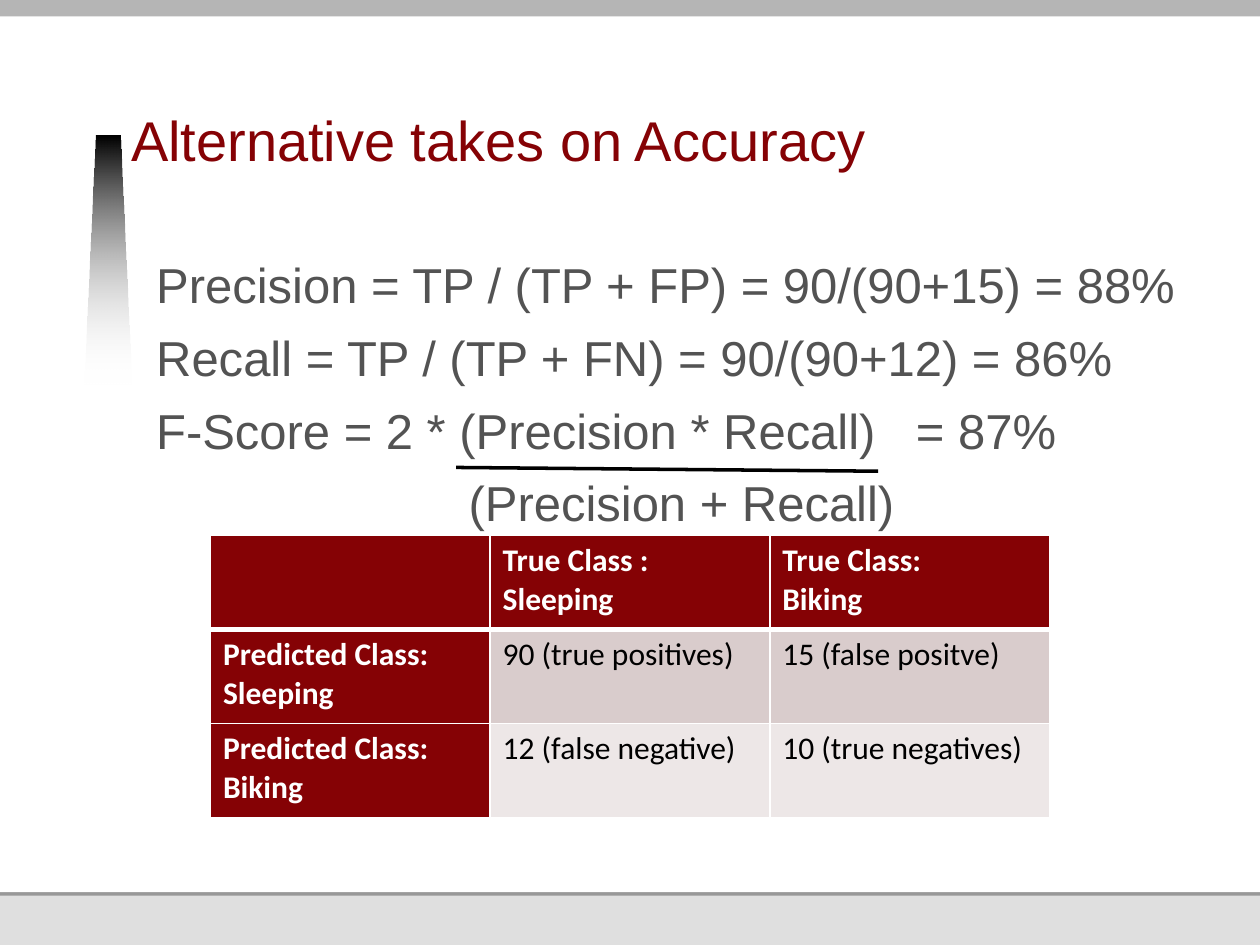
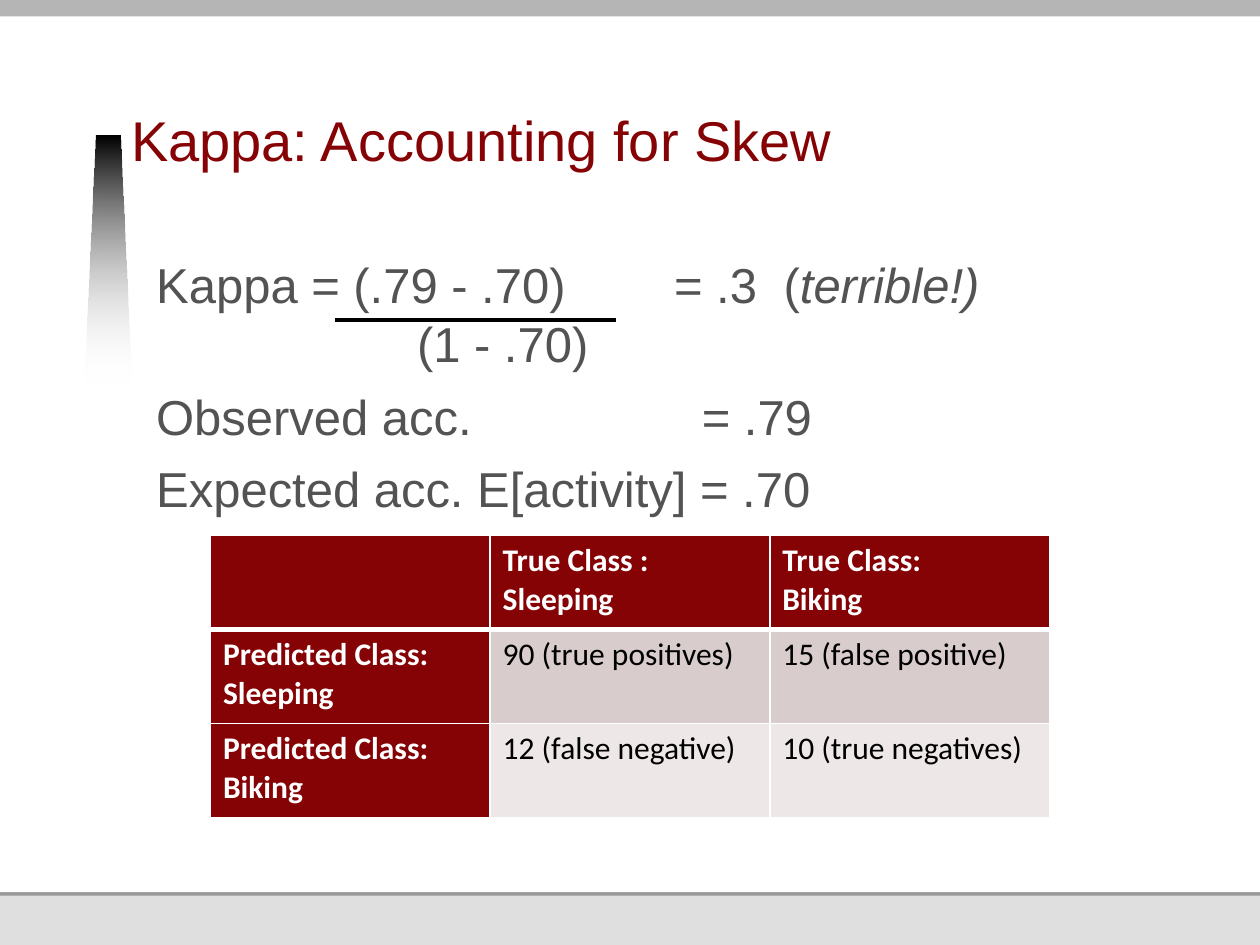
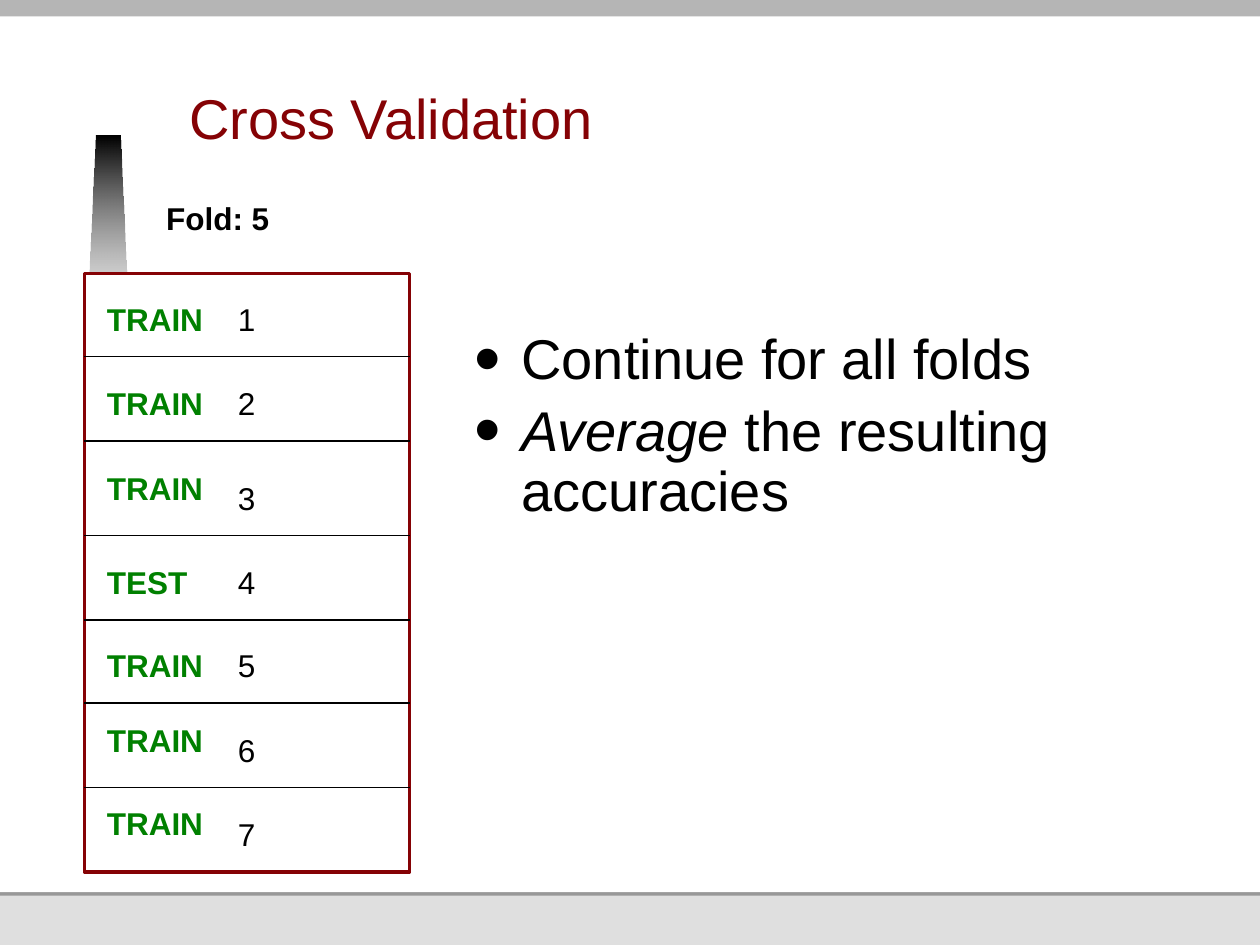
from lxml import etree
from pptx import Presentation
from pptx.dml.color import RGBColor
from pptx.enum.shapes import MSO_CONNECTOR, MSO_SHAPE
from pptx.enum.text import MSO_ANCHOR, PP_ALIGN
from pptx.oxml.ns import qn
from pptx.util import Inches, Pt

RECTANGLE = MSO_SHAPE.RECTANGLE
STRAIGHT = MSO_CONNECTOR.STRAIGHT
BOTTOM = MSO_ANCHOR.BOTTOM
LEFT = PP_ALIGN.LEFT

FONT = "Arial"
TABLE_FONT = "Calibri"
COLORS = {
    "maroon": "850205",
    "body": "535353",
    "black": "000000",
    "white": "FFFFFF",
    "green": "008000",
    "top_band": "B5B5B5",
    "rule": "989898",
    "footer": "DFDFDF",
    "row_dark": "D9CCCC",
    "row_light": "EDE7E7",
}
BANDS = [
    (0, 0, 10, 7.5, "footer"),
    (0, 1.78, 10, 5.33, "rule"),
    (0, 0, 10, 7.08, "white"),
    (0, 0, 7.9, 0.11, "rule"),
    (0, -0.04, 10.17, 0.17, "top_band"),
]
FOLDS = [
    ("TRAIN", 2.17, 2.33, 2.33),
    ("TRAIN", 2.83, 3, 3),
    ("TRAIN", 3.5, 3.67, 3.75),
    ("TEST", 4.25, 4.42, 4.42),
    ("TRAIN", 4.92, 5.08, 5.08),
    ("TRAIN", 5.58, 5.67, 5.75),
    ("TRAIN", 6.25, 6.33, 6.42),
]


def rgb(name):
    """Return the named palette colour."""
    return RGBColor.from_string(COLORS[name])


def style(p, size, color, bold=False, font=FONT):
    """Format every run of a paragraph."""
    for r in p.runs:
        r.font.size = Pt(size)
        r.font.name = font
        r.font.bold = bold
        r.font.color.rgb = rgb(color)


def add_rect(s, left, top, width, height, fill, line=None):
    """Add a flat rectangle, outlined if a line colour is given."""
    sp = s.shapes.add_shape(RECTANGLE, Inches(left), Inches(top), Inches(width), Inches(height))
    sp.shadow.inherit = False
    sp.fill.solid()
    sp.fill.fore_color.rgb = rgb(fill)
    if line:
        sp.line.color.rgb = rgb(line)
        sp.line.width = Pt(2)
    else:
        sp.line.fill.background()


def add_line(s, x1, y1, x2, y2, width):
    """Add a straight black line."""
    line = s.shapes.add_connector(STRAIGHT, Inches(x1), Inches(y1), Inches(x2), Inches(y2))
    line.line.color.rgb = rgb("black")
    line.line.width = Pt(width)
    etree.SubElement(line._element.spPr, qn("a:effectLst"))


def add_wedge(s):
    """Add the wedge beside the title, fading to transparent."""
    points = [(0.76, 1.08), (0.95, 1.08), (1.04, 3.05)]
    builder = s.shapes.build_freeform(Inches(0.67), Inches(3.05))
    builder.add_line_segments([(Inches(x), Inches(y)) for x, y in points])
    sp = builder.convert_to_shape()
    sp.shadow.inherit = False
    sp.line.fill.background()
    sp.fill.gradient()
    sp.fill.gradient_angle = 270
    for stop, color in zip(sp.fill.gradient_stops, ("black", "white")):
        stop.color.rgb = rgb(color)
    last_color = sp._element.spPr.findall(".//" + qn("a:srgbClr"))[-1]
    etree.SubElement(last_color, qn("a:alpha"), val="0")


def add_slide(prs, title, left=1.04, top=0.34, width=6.87, height=1.08):
    """Add a slide with the shared bands, wedge and title style."""
    s = prs.slides.add_slide(prs.slide_layouts[5])
    for band in BANDS:
        add_rect(s, *band)
    add_wedge(s)
    sp = s.shapes.title
    s.shapes.element.append(sp._element)
    sp.left, sp.top = Inches(left), Inches(top)
    sp.width, sp.height = Inches(width), Inches(height)
    tf = sp.text_frame
    tf.text = title
    tf.vertical_anchor = BOTTOM
    tf.margin_left = tf.margin_right = tf.margin_top = 0
    tf.margin_bottom = Inches(0.05)
    p = tf.paragraphs[0]
    p.alignment = LEFT
    p.line_spacing = Pt(34)
    style(p, 32, "maroon")
    return s


def add_text_box(s, left, top, width, height):
    """Add a wrapping text box and return its text frame."""
    tf = s.shapes.add_textbox(Inches(left), Inches(top), Inches(width), Inches(height)).text_frame
    tf.word_wrap = True
    return tf


def add_label(s, text, left, top, width, color="black", bold=True):
    """Add a one-line label."""
    tf = add_text_box(s, left, top, width, 0.4)
    tf.word_wrap = False
    tf.text = text
    style(tf.paragraphs[0], 18, color, bold)


def add_runs(p, parts):
    """Fill a paragraph from (text, italic) parts."""
    for text, italic in parts:
        r = p.add_run()
        r.text = text
        r.font.italic = italic


def add_tabs(p, stops):
    """Set left tab stops, in inches, on a paragraph."""
    tabs = etree.SubElement(p._p.get_or_add_pPr(), qn("a:tabLst"))
    for stop in stops:
        etree.SubElement(tabs, qn("a:tab"), pos=str(Inches(stop)), algn="l")


def add_formulas(s, formulas):
    """Add formula lines, each a (text, tab stops) pair."""
    tf = add_text_box(s, 1.24, 2.02, 8.76, 4.79)
    tf.margin_left = tf.margin_right = tf.margin_top = 0
    for i, (text, stops) in enumerate(formulas):
        p = tf.paragraphs[0] if i == 0 else tf.add_paragraph()
        p.line_spacing = Pt(33.6)
        p.space_after = Pt(8)
        add_tabs(p, stops)
        p.text = text
        style(p, 28, "body")
    return tf


def add_bullets(s, items):
    """Add the bulleted list, each item made of (text, italic) parts."""
    tf = add_text_box(s, 3.67, 2.58, 6.33, 4)
    for i, parts in enumerate(items):
        p = tf.paragraphs[0] if i == 0 else tf.add_paragraph()
        p.line_spacing = 0.9
        p.space_before = Pt(6.4 if i else 0)
        pPr = p._p.get_or_add_pPr()
        pPr.set("marL", str(Inches(0.37)))
        pPr.set("indent", str(Inches(-0.37)))
        etree.SubElement(pPr, qn("a:buSzPct"), val="135000")
        etree.SubElement(pPr, qn("a:buFont"), typeface=FONT)
        etree.SubElement(pPr, qn("a:buChar"), char="•")
        add_runs(p, parts)
        style(p, 32, "black")


def add_border(cell, side, width):
    """Draw a white border on one side of a table cell."""
    line = etree.Element(qn(f"a:{side}"), w=str(Pt(width)))
    fill = etree.SubElement(line, qn("a:solidFill"))
    etree.SubElement(fill, qn("a:srgbClr"), val=COLORS["white"])
    cell._tc.get_or_add_tcPr().insert(0, line)


def add_confusion_table(s, false_positive):
    """Add the confusion matrix."""
    rows = [
        ("", "True Class : Sleeping", "True Class:\vBiking"),
        ("Predicted Class: Sleeping", "90 (true positives)", false_positive),
        ("Predicted Class: Biking", "12 (false negative)", "10 (true negatives)"),
    ]
    fills = ["maroon", "row_dark", "row_light"]
    table = s.shapes.add_table(3, 3, Inches(1.67), Inches(4.25), Inches(6.66), Inches(2.24)).table
    for i, row in enumerate(rows):
        for j, text in enumerate(row):
            heading = i == 0 or j == 0
            cell = table.cell(i, j)
            cell.fill.solid()
            cell.fill.fore_color.rgb = rgb("maroon" if heading else fills[i])
            add_border(cell, "lnB", 1 if i else 3)
            add_border(cell, "lnT", 3 if i == 1 else 1)
            add_border(cell, "lnR", 1)
            add_border(cell, "lnL", 1)
            cell.text = text
            style(cell.text_frame.paragraphs[0], 18, "white" if heading else "black", heading, TABLE_FONT)


def build_accuracy(prs):
    """Build the precision, recall and F-score slide."""
    s = add_slide(prs, "Alternative takes on Accuracy")
    add_formulas(s, [
        ("Precision = TP / (TP + FP) = 90/(90+15) = 88%", []),
        ("Recall = TP / (TP + FN) = 90/(90+12) = 86%", []),
        ("F-Score = 2 * (Precision * Recall)\t= 87%", [6.03]),
        ("\t(Precision + Recall)", [2.48]),
    ])
    add_confusion_table(s, "15 (false positve)")
    add_line(s, 3.62, 3.71, 6.97, 3.74, 2)


def build_kappa(prs):
    """Build the kappa slide."""
    s = add_slide(prs, "Kappa: Accounting for Skew")
    tf = add_formulas(s, [
        ("Kappa = (.79 - .70)\t= .3\t(", [2.07, 4.11, 4.98]),
        ("Observed acc.\t= .79", [4.33]),
        ("Expected acc. E[activity] = .70", []),
    ])
    p = tf.paragraphs[0]
    add_runs(p, [("terrible!)", True)])
    p.add_line_break()
    add_runs(p, [("\t(1 - .70)", False)])
    style(p, 28, "body")
    add_line(s, 2.66, 2.54, 4.89, 2.54, 2)
    add_confusion_table(s, "15 (false positive)")


def build_cross_validation(prs):
    """Build the cross validation slide."""
    s = add_slide(prs, "Cross Validation", 1.5, -0.25, 8, 1.5)
    add_rect(s, 0.67, 2.17, 2.58, 4.75, "white", "maroon")
    for number, (role, row_top, role_top, number_top) in enumerate(FOLDS, 1):
        if number > 1:
            add_line(s, 0.67, row_top, 3.25, row_top, 0.75)
        add_label(s, role, 0.75, role_top, 0.97, "green")
        add_label(s, str(number), 1.79, number_top, 0.34, bold=False)
    add_bullets(s, [
        [("Continue for all folds", False)],
        [("Average ", True), ("the resulting accuracies", False)],
    ])
    add_label(s, "Fold: 5", 1.22, 1.53, 1.02)


def main():
    """Build and save the presentation."""
    prs = Presentation()
    prs.slide_width, prs.slide_height = Inches(10), Inches(7.5)
    build_accuracy(prs)
    build_kappa(prs)
    build_cross_validation(prs)
    prs.save("out.pptx")


if __name__ == "__main__":
    main()
